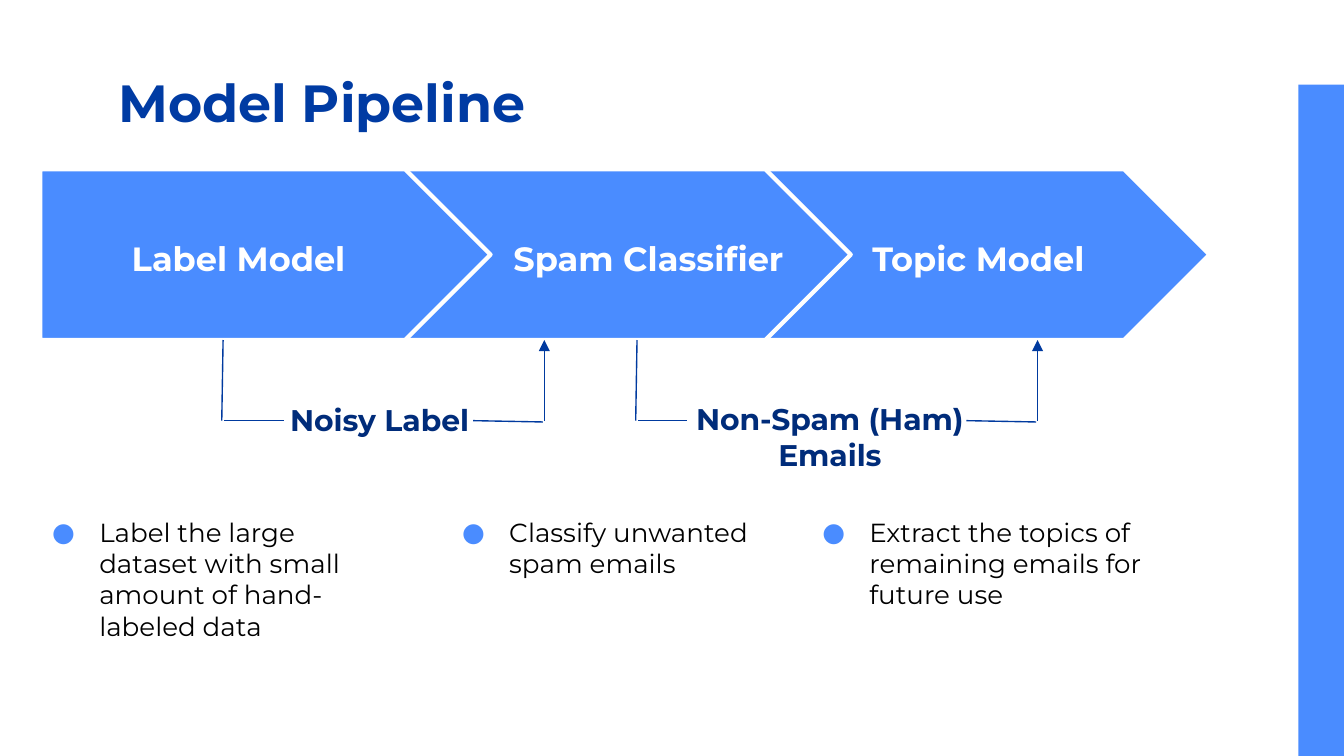
from lxml import etree
from pptx import Presentation
from pptx.dml.color import RGBColor
from pptx.enum.shapes import MSO_CONNECTOR, MSO_SHAPE
from pptx.enum.text import MSO_ANCHOR, PP_ALIGN
from pptx.oxml.ns import qn
from pptx.util import Inches, Pt

FONT = "Montserrat"
HUES = {
    "blue": "4A8CFF",
    "title": "003BA3",
    "label": "002C7A",
    "line": "003A9F",
    "white": "FFFFFF",
    "black": "000000",
}


def tint(name):
    return RGBColor.from_string(HUES[name])


def write(shape, text, size, hue, bold=True, align=PP_ALIGN.CENTER):
    frame = shape.text_frame
    frame.word_wrap = True
    frame.vertical_anchor = MSO_ANCHOR.TOP
    frame.margin_left = frame.margin_right = Inches(0.1)
    frame.margin_top = frame.margin_bottom = Inches(0.1)
    para = frame.paragraphs[0]
    para.text = text
    para.alignment = align
    font = para.font
    font.name, font.size, font.bold = FONT, Pt(size), bold
    font.color.rgb = tint(hue)
    return para


def add_text(slide, box, *style, **more):
    shape = slide.shapes.add_textbox(*map(Inches, box))
    return write(shape, *style, **more)


def add_block(slide, kind, box):
    shape = slide.shapes.add_shape(kind, *map(Inches, box))
    shape.shadow.inherit = False
    shape.fill.solid()
    shape.fill.fore_color.rgb = tint("blue")
    shape.line.fill.background()
    return shape


def add_bar(slide, box):
    left, top, width, height = box
    shift = (height - width) / 2
    turned = (left - shift, top + shift, height, width)
    add_block(slide, MSO_SHAPE.RECTANGLE, turned).rotation = 90


def add_title(slide, box, text):
    title = slide.shapes.title
    title.left, title.top, title.width, title.height = map(Inches, box)
    write(title, text, 28, "title", align=PP_ALIGN.LEFT)


def add_stage(slide, box, text, span):
    left, top, width, height = box
    arrow = add_block(slide, MSO_SHAPE.PENTAGON, box)
    arrow.adjustments[0] = 0.5
    arrow.line.color.rgb = tint("white")
    arrow.line.width = Pt(2.25)
    start, wide = span
    add_text(slide, (left + start, top + 0.41, wide, 0.5), text, 18, "white")


def add_line(slide, start, end, head=False):
    points = map(Inches, (*start, *end))
    line = slide.shapes.add_connector(MSO_CONNECTOR.STRAIGHT, *points)
    line.line.color.rgb = tint("line")
    line.line.width = Pt(0.75)
    if head:
        etree.SubElement(line.line._ln, qn("a:tailEnd"), type="triangle")
    etree.SubElement(line._element.spPr, qn("a:effectLst"))


def add_flow(slide, box, gap, text, area):
    left, top, width, height = box
    right, base = left + width, top + height
    add_line(slide, (left + 0.01, top), (left, base))
    add_line(slide, (left + 0.02, base), (left + gap[0], base))
    add_line(slide, (left + gap[1], base), (right - 0.01, base + 0.01))
    add_line(slide, (right, base), (right, top), head=True)
    add_text(slide, area, text, 16, "label")


def add_note(slide, box, text):
    para = add_text(slide, box, text, 14, "black", bold=False, align=PP_ALIGN.LEFT)
    props = para._p.get_or_add_pPr()
    props.set("marL", str(Inches(0.5)))
    props.set("indent", str(Inches(-0.35)))
    color = etree.Element(qn("a:buClr"))
    etree.SubElement(color, qn("a:srgbClr"), val=HUES["blue"])
    face = etree.Element(qn("a:buFont"), typeface=FONT)
    mark = etree.Element(qn("a:buChar"), char="●")
    for place, part in enumerate((color, face, mark)):
        props.insert(place, part)


def main():
    deck = Presentation()
    deck.slide_width = Inches(10)
    deck.slide_height = deck.slide_width * 9 // 16
    slide = deck.slides.add_slide(deck.slide_layouts[5])

    add_bar(slide, (9.66, 0.63, 0.34, 5))
    add_title(slide, (0.78, 0.42, 8.43, 0.71), "Model Pipeline")

    stages = [
        (4.27, 4.73, "Topic Model", (2.06, 1.9)),
        (0.79, 5.54, "Spam Classifier", (2.86, 2.35)),
        (0.3, 3.35, "Label Model", (0.3, 2.35)),
    ]
    for left, width, text, span in stages:
        add_stage(slide, (left, 1.26, width, 1.27), text, span)

    flows = [
        (1.65, 2.4, (0.46, 1.87), "Noisy Label", (1.65, 2.89, 2.35, 0.5)),
        (4.73, 2.99, (0.38, 2.46), "Non-Spam (Ham) Emails", (4.78, 2.88, 2.79, 0.5)),
    ]
    for left, width, gap, text, area in flows:
        add_flow(slide, (left, 2.53, width, 0.6), gap, text, area)

    notes = [
        (0.14, "Label the large dataset with small amount of hand-labeled data"),
        (3.19, "Classify unwanted spam emails"),
        (5.87, "Extract the topics of remaining emails for future use"),
    ]
    for left, text in notes:
        add_note(slide, (left, 3.74, 2.81, 1.57), text)

    deck.save("out.pptx")


if __name__ == "__main__":
    main()
